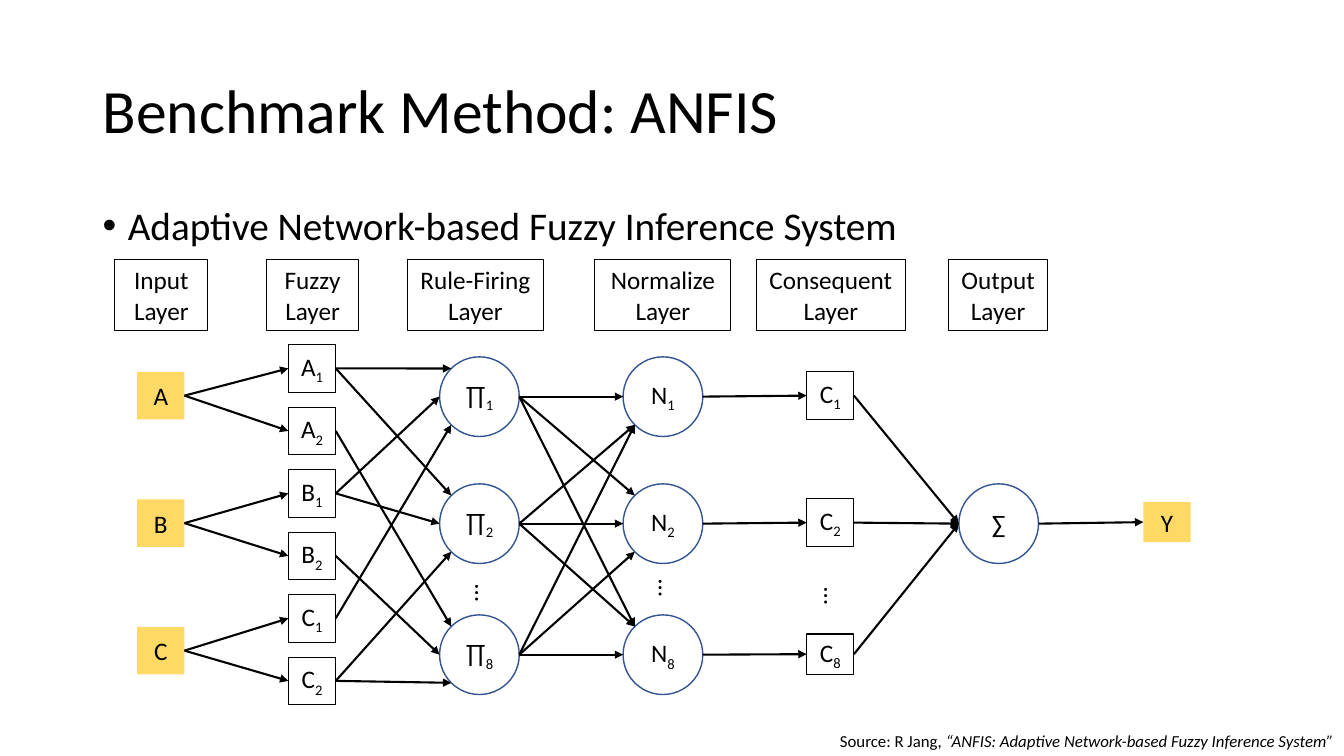
from math import sqrt

from lxml.etree import SubElement
from pptx import Presentation
from pptx.dml.color import RGBColor
from pptx.enum.shapes import MSO_CONNECTOR, MSO_SHAPE
from pptx.enum.text import MSO_ANCHOR, PP_ALIGN
from pptx.oxml.ns import qn
from pptx.util import Pt

# Content
TITLE = "Benchmark Method: ANFIS"
BULLET = "Adaptive Network-based Fuzzy Inference System"
SOURCE = [("Source: R Jang, ", False),
          ("“ANFIS: Adaptive Network-based Fuzzy Inference System”", True)]
HEADINGS = [("Input", 114, 92), ("Fuzzy", 264, 92), ("Rule-Firing", 404, 135),
            ("Normalize", 590, 135), ("Consequent", 750, 148), ("Output", 941, 98)]
INPUTS = ["A", "B", "C"]
FUZZY = ["A1", "A2", "B1", "B2", "C1", "C2"]
RULES = ["1", "2", "8"]
FIRING = [("A1", "1", "upper"), ("A1", "2", "upper"), ("A2", "8", "upper"),
          ("B1", "1", "middle"), ("B1", "2", "middle"), ("B2", "8", "middle"),
          ("C1", "1", "lower"), ("C2", "2", "lower"), ("C2", "8", "lower")]
ELLIPSES = [(459, 568), (641, 564), (805, 571)]

# Layout, in px of 1/100 inch
SCALE = 9144
BOX, CIRCLE = 47, 79
INPUT_X, FUZZY_X, FIRING_X, NORMAL_X, CONSEQUENT_X = 136, 286, 436, 618, 800
CIRCLE_TOPS = [354, 480, 610]
CONSEQUENT_ROWS = [(369, BOX), (495, BOX), (629, 40)]
COLORS = {"text": "000000", "terminal": "FFD966", "circle": "325491"}
FONT = "Calibri"

prs = Presentation()
prs.slide_width, prs.slide_height = 1333 * SCALE, 750 * SCALE
slide = prs.slides.add_slide(prs.slide_layouts[6])


def color(name):
    return RGBColor.from_string(COLORS[name])


def scaled(*lengths):
    return [round(length * SCALE) for length in lengths]


def add_run(paragraph, text, size, italic=False, subscript=False):
    run = paragraph.add_run()
    run.text = text
    run.font.name, run.font.size, run.font.color.rgb = FONT, Pt(size), color("text")
    if italic:
        run.font.italic = True
    if subscript:
        run._r.get_or_add_rPr().set("baseline", "-25000")


def add_text(x, y, w, h, anchor=MSO_ANCHOR.TOP, align=PP_ALIGN.LEFT):
    box = slide.shapes.add_textbox(*scaled(x, y, w, h))
    box.text_frame.word_wrap = True
    box.text_frame.vertical_anchor = anchor
    box.text_frame.paragraphs[0].alignment = align
    return box, box.text_frame.paragraphs[0]


def add_node(x, y, w, h, lines, kind="box"):
    """Draw a box, terminal or circle; lines are lists of (text, subscript)."""
    preset = MSO_SHAPE.OVAL if kind == "circle" else MSO_SHAPE.RECTANGLE
    node = slide.shapes.add_shape(preset, *scaled(x, y, w, h))
    node.shadow.inherit = False
    if kind == "terminal":
        node.fill.solid()
        node.fill.fore_color.rgb = color("terminal")
        node.line.fill.background()
    else:
        node.fill.background()
        node.line.color.rgb = color("circle" if kind == "circle" else "text")
        node.line.width = Pt(1 if kind == "circle" else 0.75)
    frame = node.text_frame
    frame.word_wrap = False
    frame.vertical_anchor = MSO_ANCHOR.MIDDLE
    for i, line in enumerate(lines):
        paragraph = frame.add_paragraph() if i else frame.paragraphs[0]
        paragraph.alignment = PP_ALIGN.CENTER
        for text, subscript in line:
            add_run(paragraph, text, 18, subscript=subscript)
    return node


def label(name):
    return [[(name[0], False)] + [(digit, True) for digit in name[1:]]]


def is_circle(node):
    return node.auto_shape_type == MSO_SHAPE.OVAL


def entry_point(node, side):
    x, y = node.left, node.top + node.height // 2
    if side == "middle":
        return x, y
    radius = node.width / 2
    rise = radius / sqrt(2)
    return round(x + radius - rise), round(y + (rise if side == "lower" else -rise))


def link(start, end, side="middle"):
    exit_point = start.left + start.width, start.top + start.height // 2
    arrow = slide.shapes.add_connector(
        MSO_CONNECTOR.STRAIGHT, *exit_point, *entry_point(end, side))
    if not is_circle(start):
        arrow.begin_connect(start, 3)
    if not is_circle(end):
        arrow.end_connect(end, 1)
    arrow.line.color.rgb = color("text")
    arrow.line.width = Pt(1.5)
    SubElement(arrow.line._get_or_add_ln(), qn("a:tailEnd"), type="triangle")
    SubElement(arrow._element.spPr, qn("a:effectLst"))


# Title, bullet and source
_, title = add_text(92, 40, 1150, 145, MSO_ANCHOR.MIDDLE)
title.line_spacing = 0.9
add_run(title, TITLE, 44)

_, bullet = add_text(92, 200, 1150, 155)
bullet.line_spacing = 0.9
bullet_format = bullet._p.get_or_add_pPr()
bullet_format.set("marL", str(25 * SCALE))
bullet_format.set("indent", str(-25 * SCALE))
SubElement(bullet_format, qn("a:buFont"), typeface="Arial")
SubElement(bullet_format, qn("a:buChar"), char="•")
add_run(bullet, BULLET, 28)

_, source = add_text(224, 720, 1109, 30, align=PP_ALIGN.RIGHT)
for text, italic in SOURCE:
    add_run(source, text, 12, italic=italic)

# Layer headings
for heading, x, width in HEADINGS:
    add_node(x, 257, width, 71, [[(heading, False)], [("Layer", False)]])

# Nodes of each layer
inputs = {name: add_node(INPUT_X, 369 + 126.5 * i, BOX, BOX, label(name), "terminal")
          for i, name in enumerate(INPUTS)}
fuzzy = {name: add_node(FUZZY_X, 342 + 62 * i, BOX, BOX, label(name))
         for i, name in enumerate(FUZZY)}
firing, normal = (
    {rule: add_node(x, top, CIRCLE, CIRCLE, label(symbol + rule), "circle")
     for rule, top in zip(RULES, CIRCLE_TOPS)}
    for symbol, x in (("∏", FIRING_X), ("N", NORMAL_X)))
consequent = {rule: add_node(CONSEQUENT_X, top, BOX, height, label("C" + rule))
              for rule, (top, height) in zip(RULES, CONSEQUENT_ROWS)}
total = add_node(951, 480, CIRCLE, CIRCLE, label("∑"), "circle")
output = add_node(1134, 498, BOX, 40, label("Y"), "terminal")

# Omitted rules
for x, y in ELLIPSES:
    dots, paragraph = add_text(x, y, 45, 40, MSO_ANCHOR.MIDDLE, PP_ALIGN.CENTER)
    dots.rotation = 90
    add_run(paragraph, "…", 18)

# Arrows between layers
for name in FUZZY:
    link(inputs[name[0]], fuzzy[name])
for name, rule, side in FIRING:
    link(fuzzy[name], firing[rule], side)
for i, rule in enumerate(RULES):
    for j, target in enumerate(RULES):
        side = "middle" if i == j else "upper" if i < j else "lower"
        link(firing[rule], normal[target], side)
    link(normal[rule], consequent[rule])
    link(consequent[rule], total)
link(total, output)

prs.save("out.pptx")
